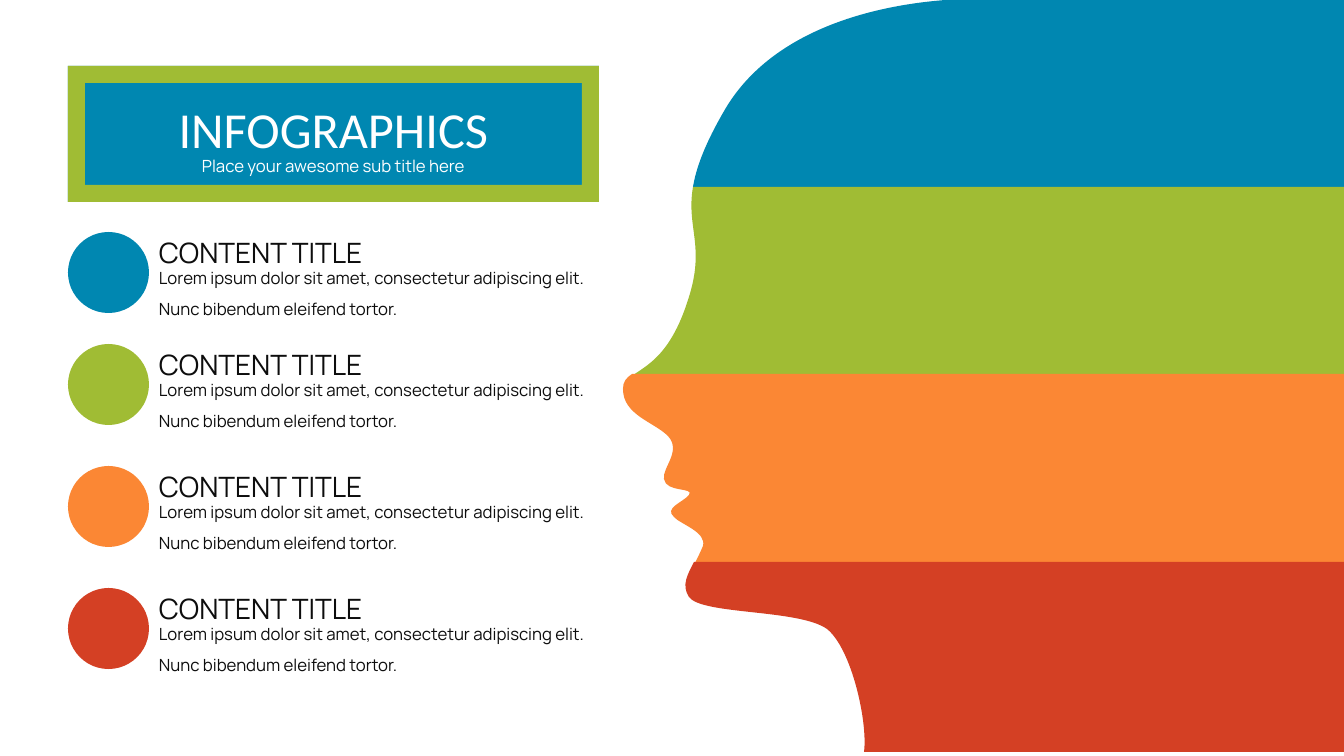
import pptx
import pptx.util
import pptx.dml.color
import pptx.enum.shapes
import pptx.enum.text
import pptx.oxml
import pptx.oxml.ns

RGB = pptx.dml.color.RGBColor
SHAPE = pptx.enum.shapes.MSO_SHAPE
ALIGN = pptx.enum.text.PP_ALIGN

BLUE = RGB(0x00, 0x87, 0xB1)
GREEN = RGB(0xA0, 0xBC, 0x34)
ORANGE = RGB(0xFB, 0x87, 0x34)
RED = RGB(0xD4, 0x40, 0x24)
INK = RGB(0x0D, 0x0D, 0x0D)
WHITE = RGB(0xFF, 0xFF, 0xFF)

# Content
TITLE = "INFOGRAPHICS"
SUB = "Place your awesome sub title here"
HEAD = "CONTENT TITLE"
BODY = ("Lorem ipsum dolor sit amet, consectetur adipiscing elit. "
        "Nunc bibendum eleifend tortor.")
ITEMS = [(232, BLUE), (344, GREEN), (466, ORANGE), (588, RED)]

# Face outline by band: colour, start point, Bezier curves (two controls, end)
BANDS = [
    (BLUE, (963, -1), [
        ((909, 1), (777, 16), (723, 113)),
        ((704, 146), (696, 169), (693, 187))]),
    (GREEN, (693, 187), [
        ((686, 228), (706, 246), (688, 300)),
        ((670, 357), (645, 366), (632, 376))]),
    (ORANGE, (632, 374), [
        ((626, 378), (623, 382), (623, 389)),
        ((623, 415), (654, 422), (668, 436)),
        ((682, 451), (662, 468), (664, 479)),
        ((666, 493), (695, 487), (689, 495)),
        ((682, 503), (664, 508), (674, 517)),
        ((680, 524), (707, 532), (703, 546)),
        ((701, 551), (698, 557), (695, 563))]),
    (RED, (694, 562), [
        ((688, 574), (681, 585), (689, 597)),
        ((702, 615), (799, 609), (827, 629)),
        ((852, 649), (868, 723), (864, 752))]),
]

# Layout in px
WIDE, HIGH = 1344, 756
LEFT, DISC = 68, 81
TEXT_X, TEXT_W = 149, 475
BOX_Y, BOX_W, BOX_H = 66, 531, 136
BACK, BEND, TIP = 1657, 1709, 1788  # rounded back of each band
SCALE = 914400 / 100.8


def px(*nums):
    return [round(n * SCALE) for n in nums]


def paint(shape, color):
    shape.shadow.inherit = False
    shape.fill.solid()
    shape.fill.fore_color.rgb = color
    shape.line.fill.background()


def add_form(home, kind, area, color):
    paint(home.shapes.add_shape(kind, *px(*area)), color)


def write(box, text, size, color, align, font="Manrope"):
    frame = box.text_frame
    frame.text = text
    frame.word_wrap = True
    frame.auto_size = pptx.enum.text.MSO_AUTO_SIZE.SHAPE_TO_FIT_TEXT
    frame.vertical_anchor = pptx.enum.text.MSO_ANCHOR.TOP
    para = frame.paragraphs[0]
    para.alignment = align
    para.line_spacing = 1.5
    run = para.runs[0].font
    run.name = font
    run.size = pptx.util.Pt(size)
    run.color.rgb = color


def add_text(home, area, *style):
    write(home.shapes.add_textbox(*px(*area)), *style)


def add_band(home, color, start, face):
    top, low = start[1], face[-1][-1][1]
    tip = (TIP, (top + low) // 2)
    base, roof = (BACK, low), (BACK, top)
    curves = face + [(base, base, base),
                     ((BEND, low), tip, tip),
                     (tip, (BEND, top), roof),
                     (start, start, start)]
    form = home.shapes.build_freeform(*px(*start))
    form.add_line_segments([px(*dot) for curve in curves for dot in curve])
    shape = form.convert_to_shape()
    paint(shape, color)
    # Join each three line ends into one Bezier curve
    name = pptx.oxml.ns.qn
    lines = list(shape._element.iter(name("a:lnTo")))
    for i in range(0, len(curves) * 3, 3):
        bend = pptx.oxml.parse_xml(
            f"<a:cubicBezTo {pptx.oxml.ns.nsdecls('a')}/>")
        lines[i].addprevious(bend)
        for line in lines[i:i + 3]:
            bend.append(line[0])
            line.getparent().remove(line)


deck = pptx.Presentation()
deck.slide_width, deck.slide_height = px(WIDE, HIGH)
slide = deck.slides.add_slide(deck.slide_layouts[5])

# Striped head
skull = slide.shapes.add_group_shape()
for band in BANDS:
    add_band(skull, *band)

# List of items
for top, color in ITEMS:
    add_form(slide, SHAPE.OVAL, (LEFT, top, DISC, DISC), color)
    add_text(slide, (TEXT_X, top + 21, TEXT_W, 68), BODY, 12, INK, ALIGN.LEFT)
    add_text(slide, (TEXT_X, top - 18, TEXT_W, 61), HEAD, 20, INK,
             ALIGN.JUSTIFY)

# Title box
box = slide.shapes.add_group_shape()
for kind, color in [(SHAPE.RECTANGLE, BLUE), (SHAPE.FRAME, GREEN)]:
    add_form(box, kind, (LEFT, BOX_Y, BOX_W, BOX_H), color)
add_text(box, (LEFT, 141, BOX_W, 40), SUB, 12, WHITE, ALIGN.CENTER)

title = slide.shapes.title
title.left, title.top, title.width, title.height = px(LEFT, 63, BOX_W, 102)
write(title, TITLE, 36, WHITE, ALIGN.CENTER, "Calibri")
slide.shapes._spTree.append(title._element)  # bring in front of the box

deck.save("out.pptx")
